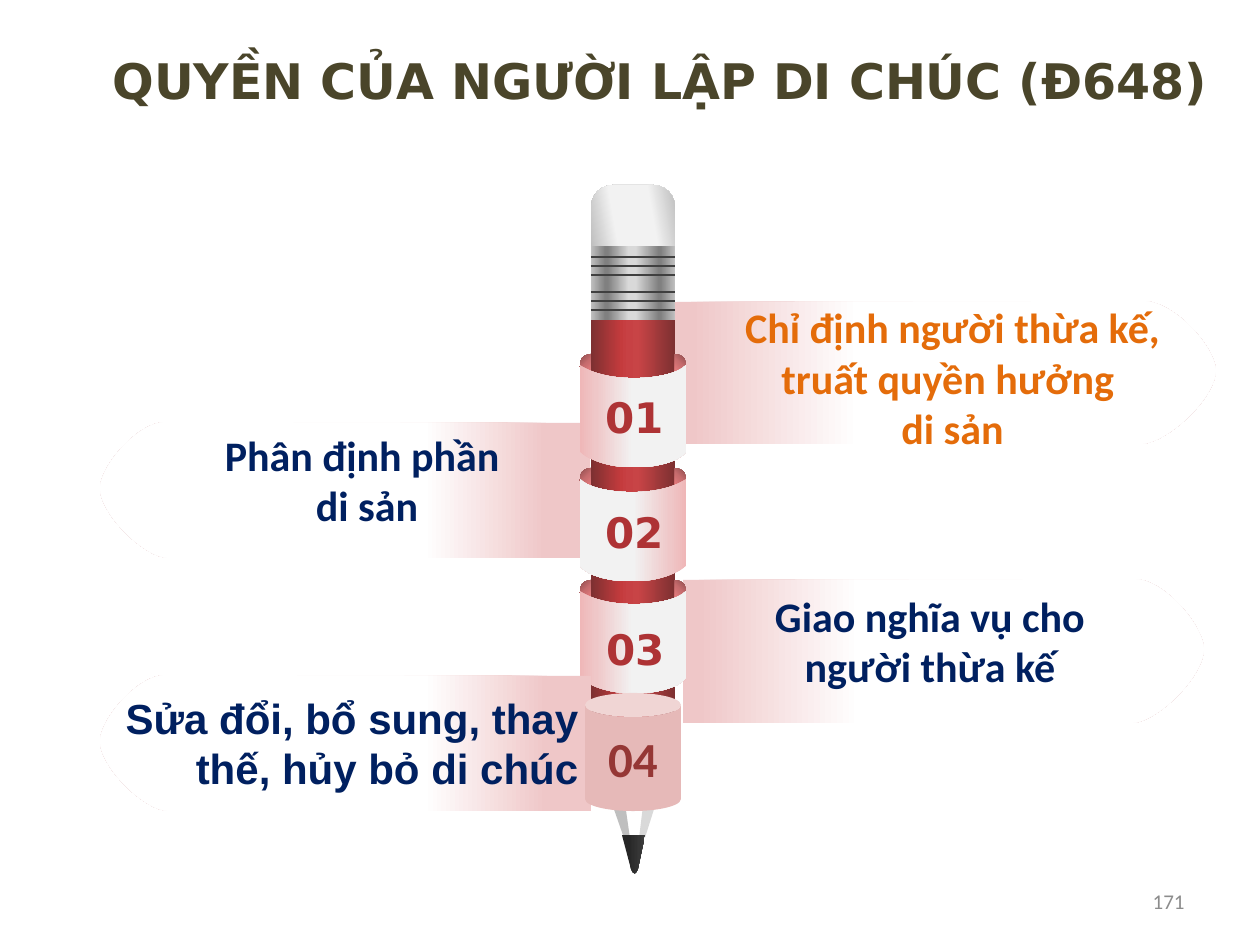
from lxml import etree
from pptx import Presentation
from pptx.dml.color import RGBColor
from pptx.enum.shapes import MSO_CONNECTOR, MSO_SHAPE
from pptx.enum.text import MSO_ANCHOR, MSO_AUTO_SIZE, PP_ALIGN
from pptx.oxml import parse_xml
from pptx.oxml.ns import nsdecls, qn
from pptx.util import Emu, Pt

SCALE = 914400 / 126
CENTER, RIGHT = PP_ALIGN.CENTER, PP_ALIGN.RIGHT

TITLE = "QUYỀN CỦA NGƯỜI LẬP DI CHÚC (Đ648)"
LABELS = [
    ((714, 583, 432, 115), ["Giao nghĩa vụ cho người thừa kế"], "002060"),
    ((690, 295, 525, 165),
     ["Chỉ định người thừa kế, truất quyền hưởng ", "di sản"], "E46C0A"),
    ((195, 422, 344, 115), ["Phân định phần ", "di sản"], "002060"),
]
NUMBERS = [("02", (580, 500, 110, 64)), ("01", (580, 385, 110, 64))]
LAST_NUMBER = ("03", (585, 617, 101, 63))
RINGS = [(580, False), (354, False), (468, True)]
BANNERS = [(683, 579, 521, 144, 70, False), (675, 301, 541, 143, 73, False),
           (590, 422, 490, 136, 66, True)]
LAST_BANNER = (591, 675, 491, 136, 66, True)
LAST_TEXT = ["Sửa đổi, bổ sung, thay thế, hủy bỏ di chúc"]

BODY = [(0, "7D3031"), (36, "C43B3D"), (44, "C74144"), (56, "C84446"), (100, "7D3031")]
ERASER = [(0, "A6A6A6"), (38, "F2F2F2"), (74, "F2F2F2"), (100, "BFBFBF")]
METAL = [(0, "BFBFBF"), (17, "808080"), (19, "808080"), (47, "D9D9D9"),
         (55, "D9D9D9"), (80, "808080"), (83, "808080"), (100, "BFBFBF")]
LEAD = [(27, "262626"), (76, "363636"), (100, "404040")]
EAR = [(0, "8C4C4D"), (50, "C76C6E"), (100, "EC8082")]
BAND = [(0, "EFB7B8"), (15, "EFC7C8"), (50, "F2F2F2")]
FADE_RIGHT = [(0, "EFC7C8"), (3, "EFC7C8"), (34, "FFFFFF")]
FADE_LEFT = [(0, "EFC7C8"), (9, "EFC7C8"), (34, "FFFFFF")]

TIP = [
    ([(591, 743), (599, 711, 614, 725, 616, 740), (630, 838), (624, 838)], "BFBFBF"),
    ([(617, 740), (631, 839), (639, 839), (651, 741),
      (644, 719, 627, 716, 617, 740)], "FFFFFF"),
    ([(651, 741), (639, 839), (645, 838), (675, 743),
      (674, 719, 655, 717, 651, 741)], "D9D9D9"),
    ([(622, 835), (645, 835), (638, 869), (636, 874, 634, 876, 631, 869)], LEAD),
]
RING_LEFT, RING_WIDTH = 580, 106
RIGHT_EAR = [(95, 0), (95, 20), (106, 13), (106, 6, 105, 1, 95, 0)]
LEFT_EAR = [(11, 0), (11, 20), (0, 13), (0, 6, 1, 1, 11, 0)]
BAND_PATH = [(0, 11), (28, 31, 93, 26, 106, 11), (106, 98), (94, 115, 30, 122, 0, 98)]
METAL_LINES = [257, 266, 275, 292, 301, 310]


def px(n):
    return Emu(round(n * SCALE))


def color(value):
    return RGBColor.from_string(value)


def paint(sp, fill, angle=0):
    sp.shadow.inherit = False
    sp.line.fill.background()
    if isinstance(fill, str):
        sp.fill.solid()
        sp.fill.fore_color.rgb = color(fill)
        return
    stops = "".join(f'<a:gs pos="{pos * 1000}"><a:srgbClr val="{c}"/></a:gs>'
                    for pos, c in fill)
    grad = parse_xml(f'<a:gradFill {nsdecls("a")} rotWithShape="1"><a:gsLst>{stops}</a:gsLst>'
                     f'<a:lin ang="{angle * 60000}" scaled="0"/></a:gradFill>')
    sp._element.spPr.find(qn("a:ln")).addprevious(grad)


def bounds(path):
    points = [path[0]]
    for part in path[1:]:
        x0, y0 = points[-1]
        if len(part) == 6:
            x1, y1, x2, y2, x3, y3 = part
            for t in (i / 20 for i in range(1, 20)):
                u = 1 - t
                k = (u**3, 3 * u * u * t, 3 * u * t * t, t**3)
                points.append((sum(a * b for a, b in zip(k, (x0, x1, x2, x3))),
                               sum(a * b for a, b in zip(k, (y0, y1, y2, y3)))))
        points.append(part[-2:])
    xs, ys = zip(*points)
    return min(xs), min(ys), max(xs) - min(xs), max(ys) - min(ys)


def add_outline(shapes, path, fill, angle=0, left=0, top=0, flip=False):
    x0, y0, w, h = bounds(path)
    fb = shapes.build_freeform(0, 0, scale=1.0)
    fb.add_line_segments([(px(w), 0), (px(w), px(h))], close=True)
    sp = fb.convert_to_shape()
    sp.left, sp.top = px(left - x0 - w if flip else left + x0), px(top + y0)
    sp.width, sp.height = px(w), px(h)
    if flip:
        sp._element.spPr.find(qn("a:xfrm")).set("flipH", "1")
    geom = sp._element.spPr.find(".//" + qn("a:path"))
    for child in list(geom):
        geom.remove(child)
    for i, part in enumerate(path):
        tag = "moveTo" if i == 0 else "lnTo" if len(part) == 2 else "cubicBezTo"
        step = etree.SubElement(geom, qn("a:" + tag))
        for x, y in zip(part[::2], part[1::2]):
            etree.SubElement(step, qn("a:pt"), x=str(px(x - x0)), y=str(px(y - y0)))
    etree.SubElement(geom, qn("a:close"))
    paint(sp, fill, angle)
    return sp


def add_preset(shapes, kind, box, fill, angle=0):
    sp = shapes.add_shape(kind, *map(px, box))
    paint(sp, fill, angle)
    return sp


def write(sp, lines, size, font, rgb, align=CENTER, bold=True, anchor=MSO_ANCHOR.MIDDLE):
    tf = sp.text_frame
    tf.text = "\n".join(lines)
    tf.word_wrap = True
    tf.auto_size = MSO_AUTO_SIZE.NONE
    tf.vertical_anchor = anchor
    for p in tf.paragraphs:
        p.alignment = align
        for r in p.runs:
            r.font.size, r.font.name, r.font.bold = Pt(size), font, bold
            r.font.color.rgb = color(rgb)


def add_text(box, *args, **kwargs):
    write(s.shapes.add_textbox(*map(px, box)), *args, **kwargs)


def add_banner(root, top, w, h, tip, flip):
    path = [(0, 1), (w - tip, 0),
            (w - 0.59 * tip, 0, w - 0.04 * tip, 0.3 * h, w, 0.48 * h),
            (w, 0.68 * h, w - 0.68 * tip, h, w - 1.04 * tip, h), (0, h)]
    return add_outline(s.shapes, path, FADE_LEFT if flip else FADE_RIGHT,
                       0, root, top, flip)


def add_ring(shapes, top, flip):
    left = RING_LEFT + RING_WIDTH if flip else RING_LEFT
    for path, fill, angle in [(RIGHT_EAR, EAR, 135), (LEFT_EAR, EAR, 45),
                              (BAND_PATH, BAND, 0)]:
        add_outline(shapes, path, fill, angle, left, top, flip)


prs = Presentation()
prs.slide_width, prs.slide_height = px(1260), px(945)
s = prs.slides.add_slide(prs.slide_layouts[5])

title = s.shapes.title
title.left, title.top, title.width, title.height = map(px, (84, 44, 1151, 71))
write(title, [TITLE], 28, "DejaVu Sans", "4A452A", anchor=MSO_ANCHOR.TOP)

add_preset(s.shapes, MSO_SHAPE.RECTANGLE, (591, 320, 84, 423), BODY)
eraser = add_preset(s.shapes, MSO_SHAPE.ROUND_2_SAME_RECTANGLE,
                    (591, 185, 84, 135), ERASER, 350)
eraser.adjustments[0] = 0.26
ferrule = s.shapes.add_group_shape().shapes
add_preset(ferrule, MSO_SHAPE.RECTANGLE, (591, 246, 84, 74), METAL, 180)
for y in METAL_LINES:
    line = ferrule.add_connector(MSO_CONNECTOR.STRAIGHT, px(591), px(y), px(675), px(y))
    line.line.color.rgb = color("404040")
    line.line.width = Pt(1.5)
    etree.SubElement(line._element.spPr, qn("a:effectLst"))

for path, fill in TIP:
    add_outline(s.shapes, path, fill)
for banner in BANNERS:
    add_banner(*banner)
rings = s.shapes.add_group_shape().shapes
for ring in RINGS:
    add_ring(rings, *ring)
for box, lines, rgb in LABELS:
    add_text(box, lines, 24, "Calibri", rgb)
for number, box in NUMBERS:
    add_text(box, [number], 24, "DejaVu Sans", "AE3335")
write(add_banner(*LAST_BANNER), LAST_TEXT, 24, "Arial", "002060", RIGHT)
add_text(LAST_NUMBER[1], [LAST_NUMBER[0]], 24, "DejaVu Sans", "AE3335")
add_text((903, 876, 294, 50), ["171"], 12, "Calibri", "8C8C8C", RIGHT, bold=False)
can = add_preset(s.shapes, MSO_SHAPE.CAN, (585, 693, 96, 118), "E6B9B8")
write(can, ["04"], 28, "Calibri", "953735")

prs.save("out.pptx")
